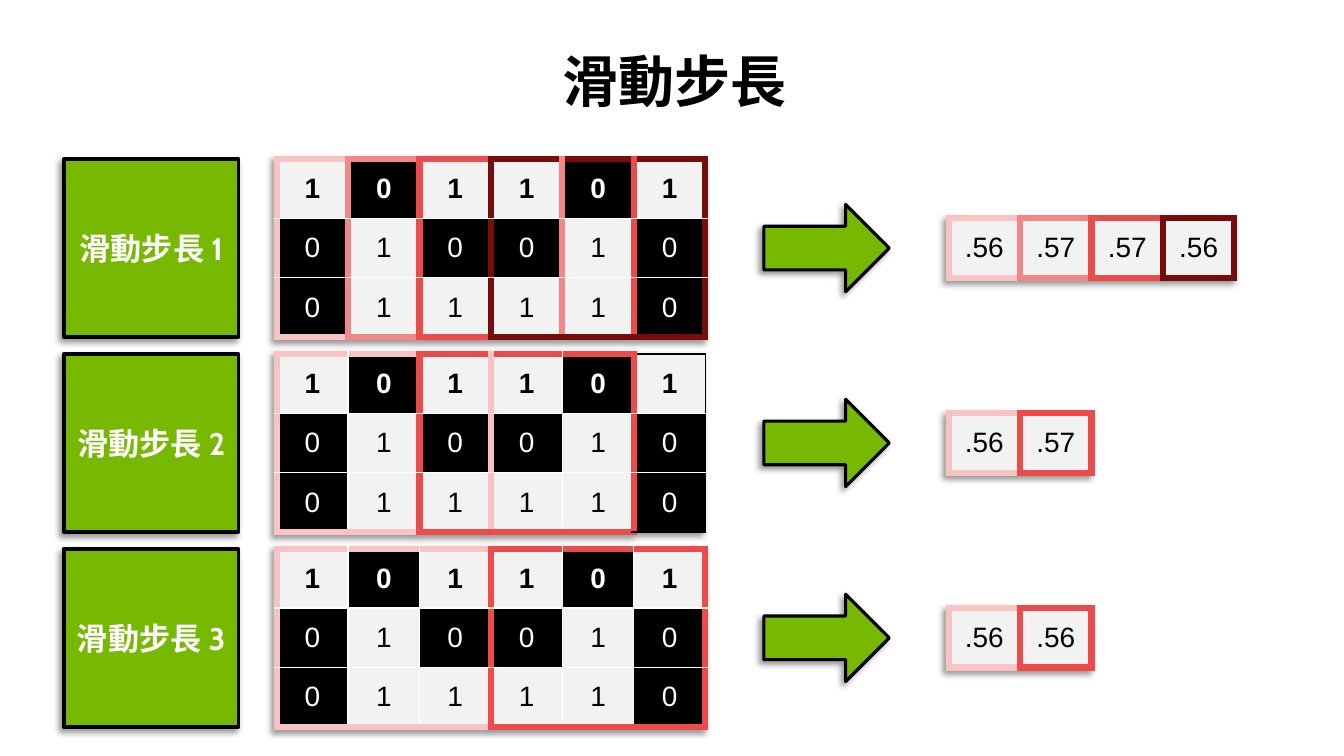
from dataclasses import dataclass

from lxml.etree import SubElement
from pptx import Presentation
from pptx.dml.color import RGBColor
from pptx.enum.shapes import MSO_SHAPE as Shape
from pptx.enum.text import MSO_ANCHOR as Anchor, PP_ALIGN as Align
from pptx.oxml import parse_xml
from pptx.oxml.ns import nsdecls, qn
from pptx.util import Inches, Pt


@dataclass(frozen=True)
class Theme:
    green: str = "76B900"
    black: str = "000000"
    white: str = "FFFFFF"
    pale: str = "F2F2F2"
    windows: tuple = ("F8C3C3", "F18787", "EB4B4B", "760D0D")
    display: str = "Cabin"
    body: str = "Arial"
    title_size: int = 36
    label_size: int = 20
    cell_size: int = 18
    window_line: float = 4.5
    grid_line: float = 1


THEME = Theme()
PINK, ROSE, RED, MAROON = THEME.windows
SLIDE_WIDTH, SLIDE_HEIGHT = 12, 6.75
LABEL_X, MATRIX_X, ARROW_X, RESULT_X = 0.57, 2.47, 6.82, 8.47
ROW_TOP, ROW_PITCH = 1.42, 1.74
CELL_WIDTH, CELL_HEIGHT = 0.638, 0.53
LABEL_WIDTH = 1.56
ARROW_WIDTH, ARROW_HEIGHT = 1.12, 0.78

MATRIX = ("101101", "010010", "011110")
STRIDES = (
    (1, THEME.windows, (".56", ".57", ".57", ".56")),
    (2, (PINK, RED), (".56", ".57")),
    (3, (PINK, RED), (".56", ".56")),
)


def color(value):
    return RGBColor.from_string(value)


def write(frame, text, *, size, font, fill, bold=False, anchor=Anchor.MIDDLE, spacing=None):
    frame.word_wrap = True
    frame.vertical_anchor = anchor
    paragraph = frame.paragraphs[0]
    paragraph.alignment = Align.CENTER
    if spacing:
        paragraph.line_spacing = spacing
    run = paragraph.add_run()
    run.text = text
    run.font.size, run.font.name, run.font.bold = Pt(size), font, bold
    run.font.color.rgb = color(fill)


def shadow_effect():
    return parse_xml(
        f'<a:effectLst {nsdecls("a")}><a:outerShdw blurRad="{Pt(4)}" dist="{Pt(3)}" '
        f'dir="{135 * 60000}" algn="tr" rotWithShape="0"><a:srgbClr val="{THEME.black}">'
        '<a:alpha val="40000"/></a:srgbClr></a:outerShdw></a:effectLst>'
    )


def add_title(slide, text):
    box = slide.shapes.add_textbox(Inches(LABEL_X), Inches(0.37), Inches(10.91), Inches(0.65))
    frame = box.text_frame
    frame.margin_top = frame.margin_bottom = 0
    write(frame, text, size=THEME.title_size, font=THEME.display, fill=THEME.black,
          bold=True, anchor=Anchor.BOTTOM, spacing=0.9)


def add_block(slide, kind, left, top, width, height, line_width):
    shape = slide.shapes.add_shape(kind, Inches(left), Inches(top), Inches(width), Inches(height))
    shape.fill.solid()
    shape.fill.fore_color.rgb = color(THEME.green)
    shape.line.color.rgb = color(THEME.black)
    shape.line.width = Pt(line_width)
    shape._element.spPr.append(shadow_effect())
    return shape


def window_edges(row_count, column_count, windows, span):
    inner, outer = (THEME.white, THEME.grid_line), (THEME.black, THEME.grid_line)
    vertical = [outer] + [inner] * (column_count - 1) + [outer]
    horizontal = [[outer if row in (0, row_count) else inner] * column_count
                  for row in range(row_count + 1)]
    for start, tint in windows:
        edge = (tint, THEME.window_line)
        vertical[start] = vertical[start + span] = edge
        for column in range(start, start + span):
            horizontal[0][column] = horizontal[row_count][column] = edge
    return vertical, horizontal


def set_borders(cell, **edges):
    properties = cell._tc.get_or_add_tcPr()
    for side, (tint, width) in edges.items():
        line = SubElement(properties, qn(f"a:ln{side}"), w=str(Pt(width)))
        fill = SubElement(line, qn("a:solidFill"))
        SubElement(fill, qn("a:srgbClr"), val=tint)


def add_grid(slide, left, top, rows, windows, span, header=False):
    row_count, column_count = len(rows), len(rows[0])
    frame = slide.shapes.add_table(
        row_count, column_count, Inches(left), Inches(top),
        Inches(column_count * CELL_WIDTH), Inches(row_count * CELL_HEIGHT))
    table = frame.table
    table.first_row = table.horz_banding = False
    table._tbl.tblPr.insert(0, shadow_effect())
    vertical, horizontal = window_edges(row_count, column_count, windows, span)
    for row, values in enumerate(rows):
        for column, value in enumerate(values):
            cell = table.cell(row, column)
            set_borders(cell, L=vertical[column], R=vertical[column + 1],
                        T=horizontal[row][column], B=horizontal[row + 1][column])
            dark = value == "0"
            cell.fill.solid()
            cell.fill.fore_color.rgb = color(THEME.black if dark else THEME.pale)
            cell.vertical_anchor = Anchor.MIDDLE
            write(cell.text_frame, value, size=THEME.cell_size, font=THEME.body,
                  fill=THEME.white if dark else THEME.black, bold=header and row == 0)
            cell.vertical_anchor = Anchor.MIDDLE


def add_stride(slide, top, stride, tints, results):
    height = len(MATRIX) * CELL_HEIGHT
    label = add_block(slide, Shape.RECTANGLE, LABEL_X, top, LABEL_WIDTH, height, 2.25)
    write(label.text_frame, f"滑動步長 {stride}", size=THEME.label_size,
          font=THEME.display, fill=THEME.white, bold=True)
    windows = [(index * stride, tint) for index, tint in enumerate(tints)]
    add_grid(slide, MATRIX_X, top, MATRIX, windows, span=3, header=True)
    add_block(slide, Shape.RIGHT_ARROW, ARROW_X, top + (height - ARROW_HEIGHT) / 2,
              ARROW_WIDTH, ARROW_HEIGHT, 2)
    add_grid(slide, RESULT_X, top + CELL_HEIGHT, [results], list(enumerate(tints)), span=1)


def main():
    presentation = Presentation()
    presentation.slide_width = Inches(SLIDE_WIDTH)
    presentation.slide_height = Inches(SLIDE_HEIGHT)
    slide = presentation.slides.add_slide(presentation.slide_layouts[6])
    add_title(slide, "滑動步長")
    for index, (stride, tints, results) in enumerate(STRIDES):
        add_stride(slide, ROW_TOP + index * ROW_PITCH, stride, tints, results)
    presentation.save("out.pptx")


if __name__ == "__main__":
    main()
